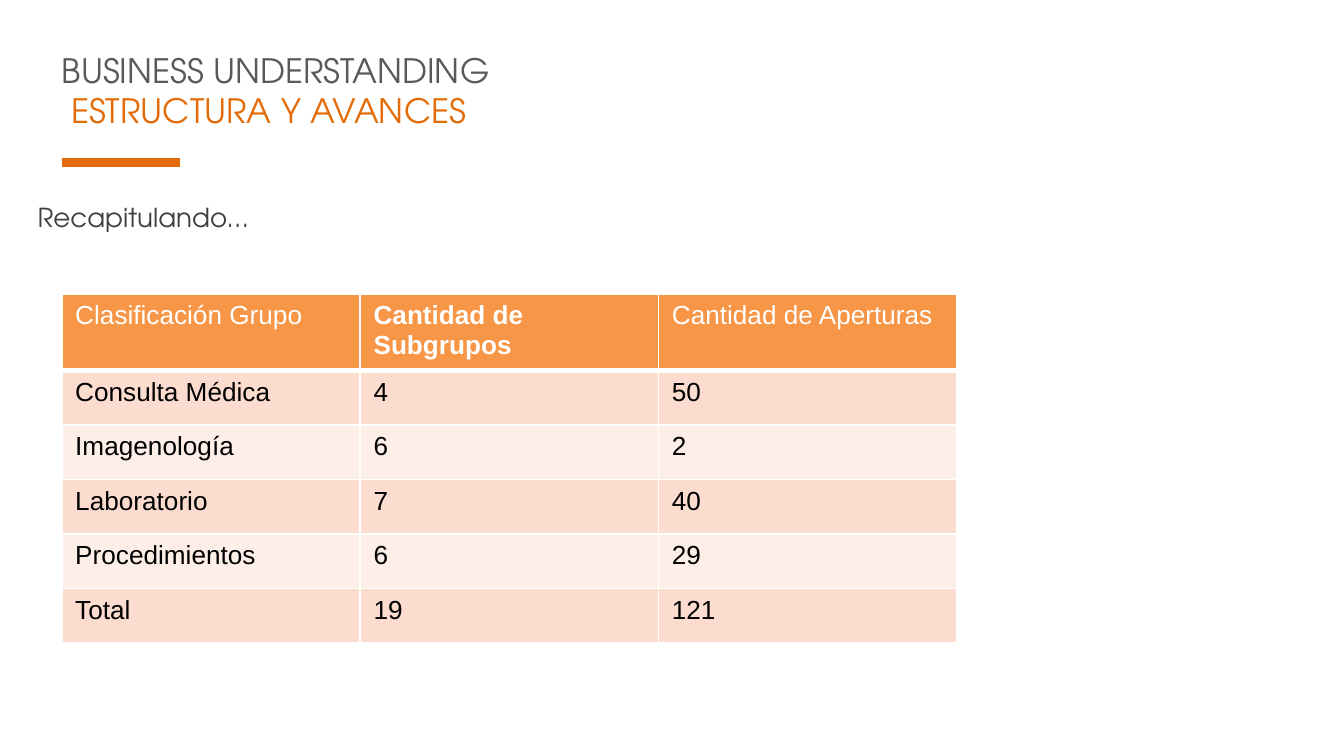
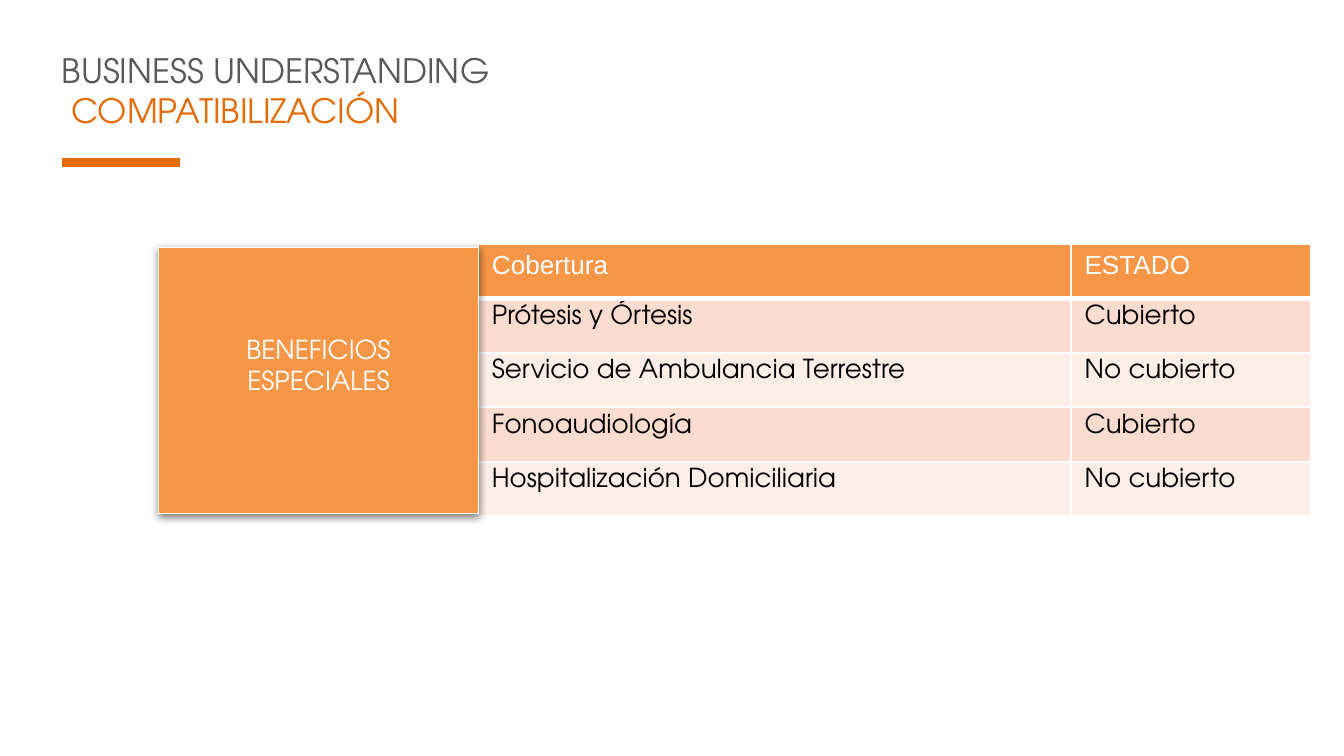
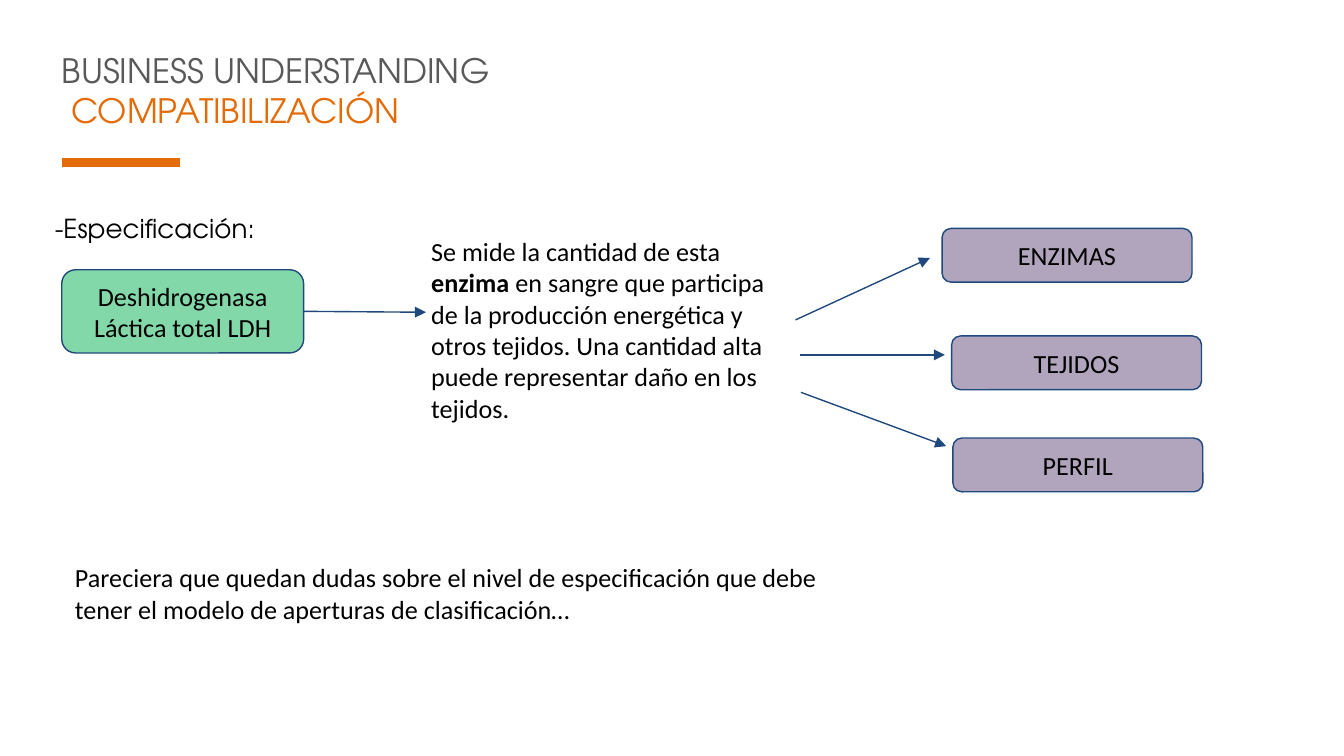
from lxml import etree
from pptx import Presentation
from pptx.dml.color import RGBColor
from pptx.enum import shapes, text
from pptx.oxml import ns
from pptx.util import Pt

ORANGE = RGBColor(0xE3, 0x6C, 0x09)
AMBER = RGBColor(0xF7, 0x96, 0x46)
PEACH = RGBColor(0xFC, 0xDC, 0xCE)
CREAM = RGBColor(0xFD, 0xEE, 0xE8)
GRAY = RGBColor(0x59, 0x59, 0x59)
DARK = RGBColor(0x3F, 0x3F, 0x3F)
NAVY = RGBColor(0x1F, 0x49, 0x7D)
GREEN = RGBColor(0x00, 0xB0, 0x50)
PURPLE = RGBColor(0x5F, 0x49, 0x7A)
BLACK = RGBColor(0, 0, 0)
WHITE = RGBColor(255, 255, 255)

HEAD = "TeX Gyre Adventor"
BODY = "Calibri"
CELL = "Arial"
ALIGN = text.PP_ALIGN
KIND = shapes.MSO_SHAPE


def child(node, tag, **attrs):
    return etree.SubElement(node, ns.qn(tag), attrs)


class Deck:
    def __init__(self):
        self.prs = Presentation()
        self.prs.slide_width, self.prs.slide_height = Pt(720), Pt(405)
        self.slide = None

    def page(self, topic):
        self.slide = self.prs.slides.add_slide(self.prs.slide_layouts[5])
        self.line((33, 87.1), (96.5, 87.1), ORANGE, 4.5)
        title = self.slide.shapes.title
        title.left, title.top, title.width, title.height = map(Pt, (26, 23, 247, 51))
        frame = self.frame(title, (7.2, 3.6, 7.2, 3.6), text.MSO_ANCHOR.TOP)
        frame.auto_size = text.MSO_AUTO_SIZE.SHAPE_TO_FIT_TEXT
        self.prose(frame, [[("BUSINESS UNDERSTANDING", False)]], HEAD, GRAY, 18)
        self.prose(frame, [[(" " + topic, False)]], HEAD, ORANGE, 18, more=True)

    def frame(self, shape, pads, anchor):
        frame = shape.text_frame
        frame.word_wrap = True
        frame.vertical_anchor = anchor
        (frame.margin_left, frame.margin_top,
         frame.margin_right, frame.margin_bottom) = map(Pt, pads)
        return frame

    def prose(self, frame, paras, font, color, size=14, align=ALIGN.LEFT, more=False):
        for i, runs in enumerate(paras):
            para = frame.add_paragraph() if i or more else frame.paragraphs[0]
            para.alignment = align
            for words, bold in runs:
                run = para.add_run()
                run.text = words
                run.font.name, run.font.size, run.font.bold = font, Pt(size), bold
                run.font.color.rgb = color

    def label(self, place, runs, font=BODY, color=BLACK, pad=7.2):
        box = self.slide.shapes.add_textbox(*map(Pt, place))
        frame = self.frame(box, (7.2, pad, 7.2, pad), text.MSO_ANCHOR.TOP)
        self.prose(frame, [runs], font, color)
        return frame.paragraphs[0]

    def box(self, kind, place, lines, fill, edge, font=BODY, color=BLACK,
            alpha=None, base=7.2):
        shape = self.slide.shapes.add_shape(kind, *map(Pt, place))
        shape.shadow.inherit = False
        shape.fill.solid()
        shape.fill.fore_color.rgb = fill
        shape.line.color.rgb, shape.line.width = edge, Pt(0.75)
        if alpha:
            tone = shape._element.spPr.find(ns.qn("a:solidFill"))[0]
            child(tone, "a:alpha", val=str(alpha * 1000))
        frame = self.frame(shape, (7.2, 7.2, 7.2, base), text.MSO_ANCHOR.MIDDLE)
        self.prose(frame, [[(words, False)] for words in lines], font, color,
                   align=ALIGN.CENTER)
        return shape

    def shade(self, shape):
        effect = shape._element.spPr.find(ns.qn("a:effectLst"))
        outer = child(effect, "a:outerShdw", blurRad=str(Pt(4.5)), dist=str(Pt(1.5)),
                      dir="5400000", algn="ctr", rotWithShape="0")
        child(child(outer, "a:srgbClr", val=str(BLACK)), "a:alpha", val="50000")

    def line(self, start, end, color=NAVY, width=0.75):
        line = self.slide.shapes.add_connector(
            shapes.MSO_CONNECTOR.STRAIGHT, *map(Pt, start + end))
        line.line.color.rgb, line.line.width = color, Pt(width)
        child(line._element.spPr, "a:effectLst")
        return line

    def arrow(self, start, end):
        line = self.line(start, end)
        child(line._element.spPr.find(ns.qn("a:ln")), "a:tailEnd", type="triangle")
        return line

    def table(self, left, top, widths, rows, font=CELL, bold=()):
        high = 29.2
        table = self.slide.shapes.add_table(
            len(rows), len(widths), Pt(left), Pt(top),
            Pt(sum(widths)), Pt(high * len(rows))).table
        for col, width in zip(table.columns, widths):
            col.width = Pt(width)
        for r, row in enumerate(rows):
            table.rows[r].height = Pt(high)
            for c, words in enumerate(row):
                cell = table.cell(r, c)
                cell.fill.solid()
                cell.fill.fore_color.rgb = (PEACH if r % 2 else CREAM) if r else AMBER
                self.edges(cell, 1 if r else 3, 3 if r == 1 else 1)
                self.prose(cell.text_frame, [[(words, not r and c in bold)]],
                           font if r else CELL, BLACK if r else WHITE)

    def edges(self, cell, base, top):
        props = cell._tc.get_or_add_tcPr()
        for i, (side, width) in enumerate(zip("LRTB", (1, 1, top, base))):
            edge = etree.Element(ns.qn("a:ln" + side), w=str(Pt(width)))
            child(child(edge, "a:solidFill"), "a:srgbClr", val=str(WHITE))
            props.insert(i, edge)

    def recap(self):
        self.page("ESTRUCTURA Y AVANCES")
        para = self.label((13, 99.4, 471.6, 24.5), [("Recapitulando…", False)],
                          HEAD, DARK, 3.6)
        para.alignment, para.line_spacing = ALIGN.JUSTIFY, 1.3
        self.table(33.1, 157.7, [159.84] * 3, [
            ("Clasificación Grupo", "Cantidad de Subgrupos", "Cantidad de Aperturas"),
            ("Consulta Médica", "4", "50"),
            ("Imagenología", "6", "2"),
            ("Laboratorio", "7", "40"),
            ("Procedimientos", "6", "29"),
            ("Total", "19", "121")], bold=(1,))

    def cover(self):
        self.page("COMPATIBILIZACIÓN")
        self.table(256.3, 130.6, [317.5, 128.5], [
            ("Cobertura", "ESTADO"),
            ("Prótesis y Órtesis", "Cubierto"),
            ("Servicio de Ambulancia Terrestre", "No cubierto"),
            ("Fonoaudiología", "Cubierto"),
            ("Hospitalización Domiciliaria", "No cubierto")], HEAD)
        self.shade(self.box(
            KIND.RECTANGLE, (85, 132.5, 171.3, 142.6), ["BENEFICIOS", "ESPECIALES"],
            AMBER, WHITE, HEAD, WHITE, base=24))

    def detail(self):
        self.page("COMPATIBILIZACIÓN")
        self.label((22.3, 106.6, 302.4, 44.6), [("-Especificación:", False)], HEAD)
        self.label((223.9, 118.8, 198.7, 38.2), [
            ("Se mide la cantidad de esta ", False),
            ("enzima ", True),
            ("en sangre que participa de la producción energética y otros tejidos. "
             "Una cantidad alta puede representar daño en los tejidos.", False)])
        test = self.box(KIND.ROUNDED_RECTANGLE, (33.1, 144.5, 129.6, 44.6),
                        ["Deshidrogenasa Láctica total LDH"], GREEN, NAVY, alpha=49)
        self.arrow((162.7, 166.8), (228.2, 167.3)).begin_connect(test, 3)
        for words, left, top, start, end in (
                ("ENZIMAS", 504.7, 122.4, (426.2, 171.4), (498.2, 138.2)),
                ("TEJIDOS", 509.8, 180, (428.4, 190.1), (506.2, 190.1)),
                ("PERFIL", 510.5, 234.7, (429.1, 210.2), (506.9, 239))):
            self.arrow(start, end)
            self.box(KIND.ROUNDED_RECTANGLE, (left, top, 133.9, 28.8), [words],
                     PURPLE, NAVY, alpha=49)
        self.label((33.1, 293.8, 427.7, 55.4), [
            ("Pareciera que quedan dudas sobre el nivel de especificación que debe "
             "tener el modelo de aperturas de clasificación…", False)])


def main():
    deck = Deck()
    deck.recap()
    deck.cover()
    deck.detail()
    deck.prs.save("out.pptx")


if __name__ == "__main__":
    main()
